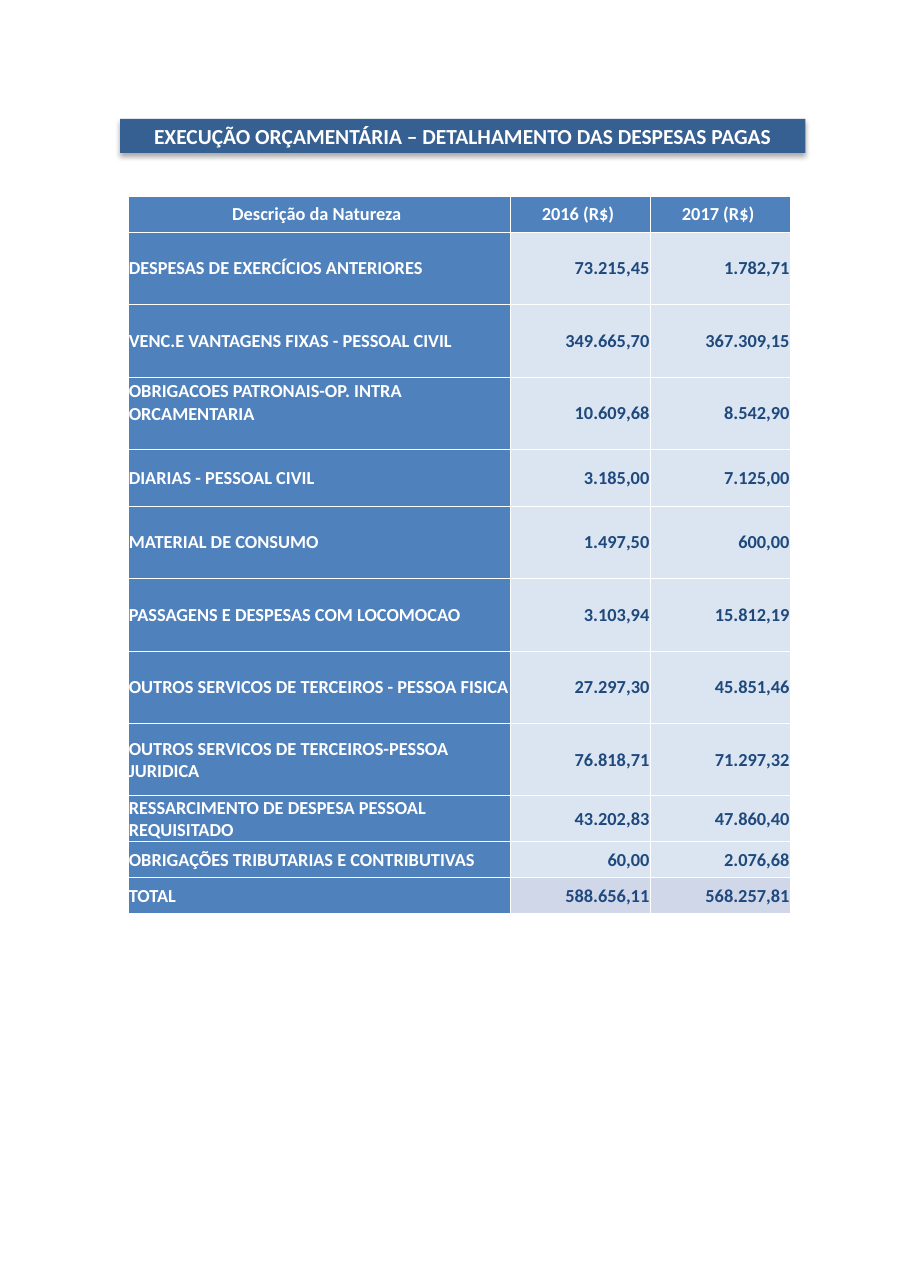
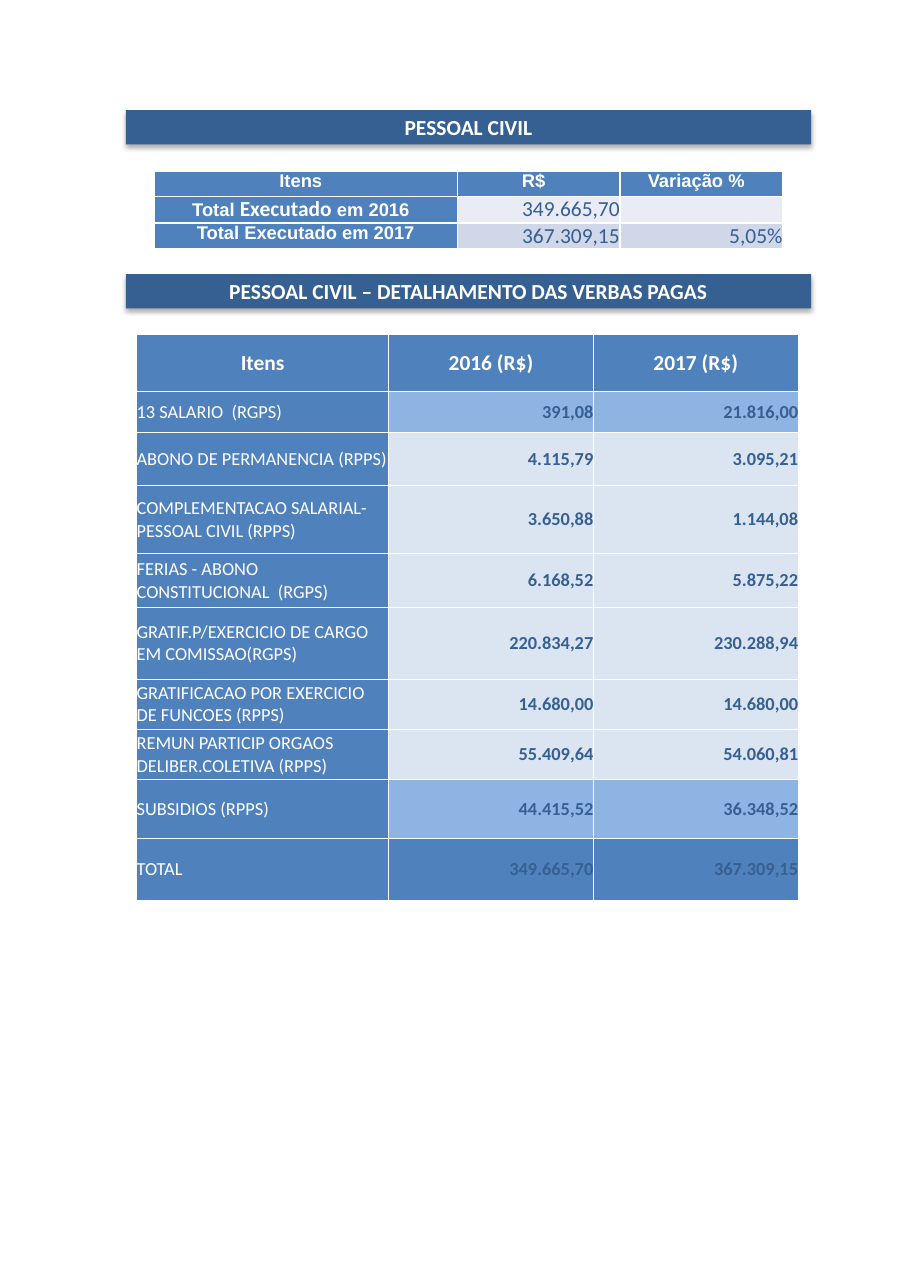
from dataclasses import dataclass, replace

from lxml import etree
from pptx import Presentation
from pptx.dml.color import RGBColor
from pptx.enum.shapes import MSO_SHAPE
from pptx.enum.text import MSO_ANCHOR, PP_ALIGN
from pptx.oxml.ns import qn
from pptx.util import Cm, Pt

RECT = MSO_SHAPE.RECTANGLE
TOP, MIDDLE = MSO_ANCHOR.TOP, MSO_ANCHOR.MIDDLE
LEFT, CENTER, RIGHT = PP_ALIGN.LEFT, PP_ALIGN.CENTER, PP_ALIGN.RIGHT

WHITE = RGBColor(0xFF, 0xFF, 0xFF)
BAND_BLUE = RGBColor(0x37, 0x60, 0x92)
BLUE = RGBColor(0x4F, 0x81, 0xBD)
MID_BLUE = RGBColor(0x8D, 0xB4, 0xE3)
PALE_BLUE = RGBColor(0xDB, 0xE5, 0xF1)
PALE_GREY = RGBColor(0xE9, 0xEC, 0xF4)
LILAC = RGBColor(0xD0, 0xD7, 0xE8)
NAVY = RGBColor(0x1F, 0x49, 0x7D)
STEEL = RGBColor(0x36, 0x5F, 0x91)

BAND_W, BAND_H = 15.8, 0.79

EXPENSES = [
    ("Descrição da Natureza", "2016 (R$)", "2017 (R$)"),
    ("DESPESAS DE EXERCÍCIOS ANTERIORES", "73.215,45", "1.782,71"),
    ("VENC.E VANTAGENS FIXAS - PESSOAL CIVIL", "349.665,70", "367.309,15"),
    ("OBRIGACOES PATRONAIS-OP. INTRA ORCAMENTARIA", "10.609,68", "8.542,90"),
    ("DIARIAS - PESSOAL CIVIL", "3.185,00", "7.125,00"),
    ("MATERIAL DE CONSUMO", "1.497,50", "600,00"),
    ("PASSAGENS E DESPESAS COM LOCOMOCAO", "3.103,94", "15.812,19"),
    ("OUTROS SERVICOS DE TERCEIROS - PESSOA FISICA", "27.297,30", "45.851,46"),
    ("OUTROS SERVICOS DE TERCEIROS-PESSOA JURIDICA", "76.818,71", "71.297,32"),
    ("RESSARCIMENTO DE DESPESA PESSOAL REQUISITADO", "43.202,83", "47.860,40"),
    ("OBRIGAÇÕES TRIBUTARIAS E CONTRIBUTIVAS", "60,00", "2.076,68"),
    ("TOTAL", "588.656,11", "568.257,81"),
]
STAFF_SUMMARY = [
    ("Itens", "R$", "Variação %"),
    ("Total ", "349.665,70", ""),
    ("Total Executado em 2017", "367.309,15", "5,05%"),
]
STAFF_ITEMS = [
    ("Itens", "2016 (R$)", "2017 (R$)"),
    ("13 SALARIO  (RGPS)", "391,08", "21.816,00"),
    ("ABONO DE PERMANENCIA (RPPS)", "4.115,79", "3.095,21"),
    ("COMPLEMENTACAO SALARIAL- PESSOAL CIVIL (RPPS)", "3.650,88", "1.144,08"),
    ("FERIAS - ABONO CONSTITUCIONAL  (RGPS)", "6.168,52", "5.875,22"),
    ("GRATIF.P/EXERCICIO DE CARGO EM COMISSAO(RGPS)", "220.834,27", "230.288,94"),
    ("GRATIFICACAO POR EXERCICIO DE FUNCOES (RPPS)", "14.680,00", "14.680,00"),
    ("REMUN PARTICIP ORGAOS DELIBER.COLETIVA (RPPS)", "55.409,64", "54.060,81"),
    ("SUBSIDIOS (RPPS)", "44.415,52", "36.348,52"),
    ("TOTAL", "349.665,70", "367.309,15"),
]


@dataclass(frozen=True)
class CellStyle:
    fill: RGBColor = BLUE
    color: RGBColor = WHITE
    size: float = 12
    bold: bool = True
    font: str = "Calibri"
    align: PP_ALIGN = LEFT


LABEL = CellStyle()
HEADER = CellStyle(align=CENTER)
VALUE = CellStyle(fill=PALE_BLUE, color=NAVY, align=RIGHT)


def style_paragraph(p, style):
    p.alignment = style.align
    p.font.name = style.font
    p.font.size = Pt(style.size)
    p.font.bold = style.bold
    p.font.color.rgb = style.color


def add_band(s, x, y, text):
    """Title band with a soft shadow below."""
    sp = s.shapes.add_shape(RECT, Cm(x), Cm(y), Cm(BAND_W), Cm(BAND_H))
    sp.fill.solid()
    sp.fill.fore_color.rgb = BAND_BLUE
    sp.line.fill.background()
    sp.shadow.inherit = False
    effects = sp._element.spPr.find(qn("a:effectLst"))
    shadow = etree.SubElement(effects, qn("a:outerShdw"), blurRad=str(Pt(3.5)),
                              dist=str(Pt(2.2)), dir="5400000", rotWithShape="0")
    black = etree.SubElement(shadow, qn("a:srgbClr"), val="000000")
    etree.SubElement(black, qn("a:alpha"), val="32000")
    tf = sp.text_frame
    tf.vertical_anchor = MIDDLE
    p = tf.paragraphs[0]
    p.text = text
    style_paragraph(p, replace(HEADER, size=14))


def add_borders(cell, width):
    tc_pr = cell._tc.get_or_add_tcPr()
    for side in ("a:lnL", "a:lnR", "a:lnT", "a:lnB"):
        ln = etree.SubElement(tc_pr, qn(side), w=str(Pt(width)))
        fill = etree.SubElement(ln, qn("a:solidFill"))
        etree.SubElement(fill, qn("a:srgbClr"), val=str(WHITE))


def fill_cell(cell, text, style, anchor, border, margin):
    cell.margin_left = cell.margin_right = cell.margin_top = Cm(margin)
    cell.margin_bottom = 0
    cell.vertical_anchor = anchor
    add_borders(cell, border)
    cell.fill.solid()
    cell.fill.fore_color.rgb = style.fill
    p = cell.text_frame.paragraphs[0]
    if text:
        p.add_run().text = text
    style_paragraph(p, style)
    if not text:  # keeps an empty cell from stretching its row
        etree.SubElement(p._p, qn("a:endParaRPr"), sz=str(int(style.size * 100)))


def add_table(s, x, y, widths, heights, rows, header=HEADER, label=LABEL,
              value=VALUE, row_fills=None, anchor=MIDDLE, border=0.5, margin=0):
    """Header row, label column and values; row_fills overrides the value fill."""
    row_fills = row_fills or {}
    table = s.shapes.add_table(len(rows), len(widths), Cm(x), Cm(y),
                               Cm(sum(widths)), Cm(sum(heights))).table
    for column, width in zip(table.columns, widths):
        column.width = Cm(width)
    for i, (row, height) in enumerate(zip(rows, heights)):
        table.rows[i].height = Cm(height)
        row_value = replace(value, fill=row_fills.get(i, value.fill))
        for j, text in enumerate(row):
            style = header if i == 0 else label if j == 0 else row_value
            fill_cell(table.cell(i, j), text, style, anchor, border, margin)
    return table


def build_expenses(s):
    add_band(s, 2.77, 2.74, "EXECUÇÃO ORÇAMENTÁRIA – DETALHAMENTO DAS DESPESAS PAGAS")
    heights = [0.83] + [1.67] * 3 + [1.31] + [1.67] * 4 + [1.06] + [0.83] * 2
    table = add_table(s, 2.95, 4.52, [8.81, 3.23, 3.23], heights, EXPENSES,
                      row_fills={len(EXPENSES) - 1: LILAC}, margin=0.02)
    for j in range(3):
        table.cell(0, j).margin_right = Cm(0.12)
    table.cell(3, 0).margin_bottom = Cm(0.5)


def build_staff(s):
    add_band(s, 2.9, 2.54, "PESSOAL CIVIL")
    add_band(s, 2.9, 6.32, "PESSOAL CIVIL – DETALHAMENTO DAS VERBAS PAGAS")

    # Items paid
    heights = [1.33, 0.93, 1.24, 1.57, 1.24, 1.65, 1.16, 1.16, 1.34, 1.45]
    add_table(s, 3.15, 7.7, [5.81, 4.72, 4.72], heights, STAFF_ITEMS,
              header=replace(HEADER, size=14), label=replace(LABEL, bold=False),
              value=replace(VALUE, color=BAND_BLUE),
              row_fills={1: MID_BLUE, 8: MID_BLUE, 9: BLUE})

    # Yearly totals
    heading = replace(HEADER, font="Arial")
    table = add_table(s, 3.56, 3.94, [6.98, 3.75, 3.75], [0.59, 0.61, 0.59],
                      STAFF_SUMMARY, header=heading, label=heading,
                      value=CellStyle(PALE_GREY, STEEL, 14, False, align=RIGHT),
                      row_fills={2: LILAC}, anchor=TOP, border=1)
    for i, j in ((0, 0), (0, 1), (0, 2), (1, 0)):
        table.cell(i, j).margin_right = Cm(0.23)
    p = table.cell(1, 0).text_frame.paragraphs[0]
    r = p.add_run()
    r.text = "Executado"
    r.font.name, r.font.size = "Calibri", Pt(14)
    p.add_run().text = " em 2016"


def main():
    prs = Presentation()
    prs.slide_width, prs.slide_height = Cm(21), Cm(29.7)
    for build in (build_expenses, build_staff):
        build(prs.slides.add_slide(prs.slide_layouts[6]))
    prs.save("out.pptx")


if __name__ == "__main__":
    main()
